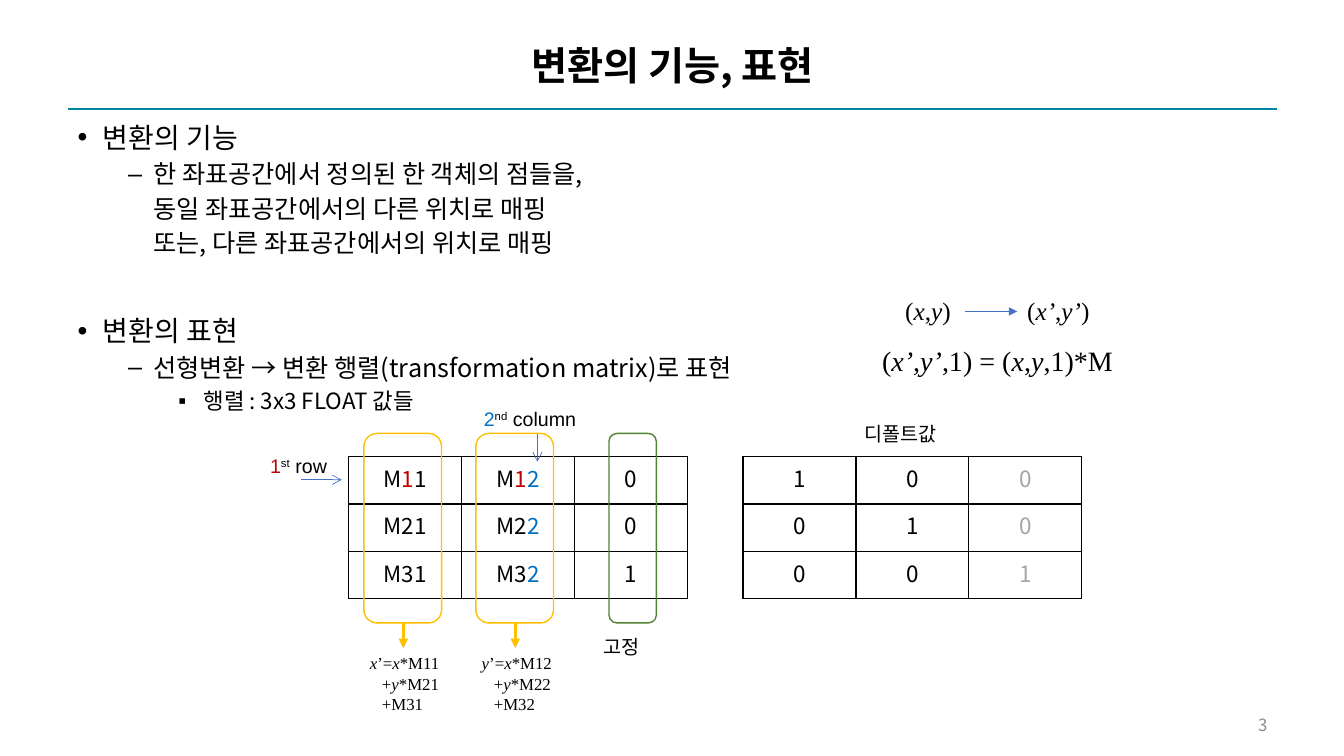
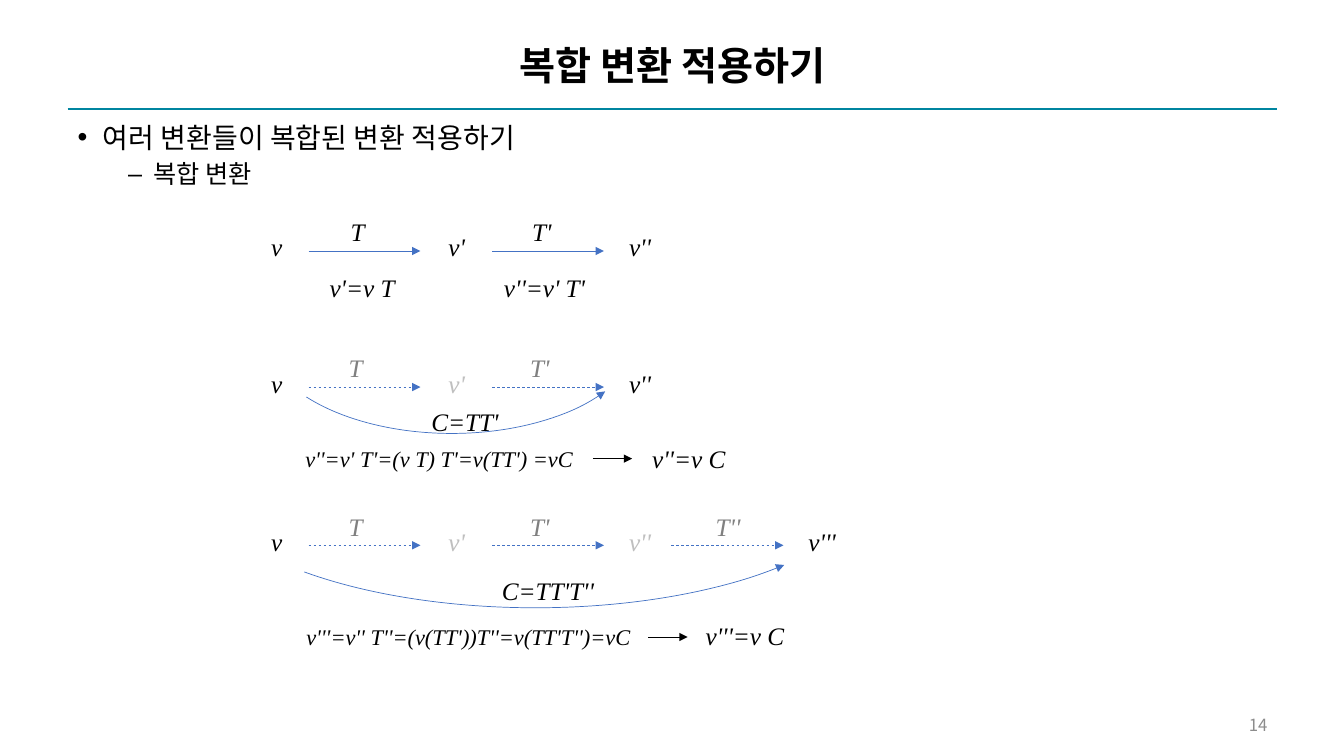
from pptx import Presentation, util as u
from pptx.dml.color import RGBColor
from pptx.enum import dml, shapes, text
from pptx.oxml.ns import qn
from lxml import etree

PX = 9144  # EMU per px, 100 px to the inch
COLORS = {"black": "000000", "rule": "0085A0", "number": "8C8C8C", "blue": "4472C4",
          "column": "0070C0", "row": "C00000", "gold": "FFC000", "green": "548235",
          "grey": "808080", "pale": "BFBFBF", "default": "A6A6A6"}
SANS, LABEL, SERIF = "Noto Sans CJK KR", "Arial", "Times New Roman"
# bullet, size, left margin and space before of each list level
LEVELS = [("•", 20, 25, 10), ("–", 18, 75, 5), ("▪", 16, 125, 5)]
HANG = 25


def rgb(name):
    return RGBColor.from_string(COLORS[name])


def add(parent, tag, **attrs):
    """Append an XML child with the given attributes."""
    child = etree.SubElement(parent, qn(tag))
    for key, value in attrs.items():
        child.set(key, str(value))
    return child


def math(source):
    """Make runs from text whose parts between underscores are italic."""
    return [(part, {"italic": bool(i % 2)})
            for i, part in enumerate(source.split("_")) if part]


class Deck:
    def __init__(self):
        self.prs = Presentation()
        self.prs.slide_width, self.prs.slide_height = 1333 * PX, 750 * PX
        self.s = None

    def runs(self, p, content, **base):
        """Fill a paragraph from a string or a list of (text, format) runs."""
        for words, extra in [(content, {})] if isinstance(content, str) else content:
            fmt = {"name": SANS, "size": 16, "color": "black", **base, **extra}
            r = p.add_run()
            r.text = words
            r.font.color.rgb = rgb(fmt.pop("color"))
            fmt["size"] = u.Pt(fmt["size"])
            raised = fmt.pop("raised", False)
            for key, value in fmt.items():
                setattr(r.font, key, value)
            rpr = r.font._element if hasattr(r.font, "_element") else r._r.get_or_add_rPr()
            add(rpr, "a:ea", typeface=SANS)
            if raised:
                rpr.set("baseline", "30000")

    def place(self, sp, x, y, w, h):
        sp.left, sp.top, sp.width, sp.height = (v * PX for v in (x, y, w, h))
        return sp

    def slide(self, title, items, number):
        """Start a slide with its title, rule, list and number."""
        self.s = self.prs.slides.add_slide(self.prs.slide_layouts[1])
        self.line(67, 108, 1267, 108, "rule", 1, head=None)
        tf = self.place(self.s.shapes.title, 67, 37, 1200, 61).text_frame
        tf.auto_size = text.MSO_AUTO_SIZE.NONE
        tf.vertical_anchor = text.MSO_ANCHOR.MIDDLE
        p = tf.paragraphs[0]
        p.alignment, p.line_spacing = text.PP_ALIGN.CENTER, 0.9
        self.runs(p, title, size=28, bold=True)
        self.bullets(items)
        self.text(942, 703, 325, 32, [number], wrap=True, align="RIGHT", anchor="MIDDLE",
                  size=12, color="number")

    def bullets(self, items):
        """Fill the body from (level, words, extra) items."""
        tf = self.place(self.s.placeholders[1], 67, 117, 1200, 578).text_frame
        tf.auto_size = text.MSO_AUTO_SIZE.NONE
        for i, (level, words, extra) in enumerate(items):
            bullet, size, margin, before = LEVELS[level]
            p = tf.add_paragraph() if i else tf.paragraphs[0]
            p.level = level
            p.line_spacing = u.Pt(size * 1.1)
            p.space_before = u.Pt(before + extra.get("gap", 0))
            ppr = p._p.get_or_add_pPr()
            ppr.set("marL", str(margin * PX))
            if extra.get("plain"):
                ppr.set("indent", "0")
                add(ppr, "a:buNone")
            else:
                ppr.set("indent", str(-HANG * PX))
                add(ppr, "a:buFont", typeface=LABEL)
                add(ppr, "a:buChar", char=bullet)
            self.runs(p, words, size=size)

    def text(self, x, y, w, h, lines, wrap=False, align="LEFT", anchor="TOP", indent=0, **fmt):
        """Add a text box; lines after the first start at the indent."""
        tf = self.s.shapes.add_textbox(*(v * PX for v in (x, y, w, h))).text_frame
        tf.word_wrap = wrap
        tf.auto_size = text.MSO_AUTO_SIZE.NONE if wrap else text.MSO_AUTO_SIZE.SHAPE_TO_FIT_TEXT
        tf.vertical_anchor = text.MSO_ANCHOR[anchor]
        for i, content in enumerate(lines):
            p = tf.add_paragraph() if i else tf.paragraphs[0]
            p.alignment = text.PP_ALIGN[align]
            if i and indent:
                p._p.get_or_add_pPr().set("marL", str(indent * PX))
            self.runs(p, content, **fmt)

    def formula(self, x, y, w, words, size=18, **fmt):
        self.text(x, y, w, 40 if size == 18 else 37, [words],
                  name=SERIF, size=size, italic=True, **fmt)

    def stroke(self, sp, color, width, head=None, dash=False):
        sp.line.color.rgb = rgb(color)
        sp.line.width = u.Pt(width)
        if dash:
            sp.line.dash_style = dml.MSO_LINE.DASH
        if head:
            add(sp._element.spPr.find(qn("a:ln")), "a:tailEnd", type=head)

    def line(self, x1, y1, x2, y2, color="blue", width=0.5, head="triangle", dash=False):
        sp = self.s.shapes.add_connector(shapes.MSO_CONNECTOR.STRAIGHT,
                                         *(v * PX for v in (x1, y1, x2, y2)))
        self.stroke(sp, color, width, head, dash)
        add(sp._element.spPr, "a:effectLst")

    def shape(self, kind, x, y, w, h, color, width=1, head=None):
        sp = self.s.shapes.add_shape(shapes.MSO_SHAPE[kind], *(v * PX for v in (x, y, w, h)))
        sp.fill.background()
        self.stroke(sp, color, width, head)
        sp.shadow.inherit = False
        return sp

    def arc(self, x, y, w, h):
        """Add an arrow that hangs below a chain."""
        sp = self.shape("ARC", x, y, w, h, "blue", 0.5, "triangle")
        sp.adjustments[0], sp.adjustments[1] = 122.83, 202.95
        sp._element.spPr.find(qn("a:xfrm")).set("flipV", "1")

    def matrix(self, x, y, rows, col=112, row=47):
        """Add a ruled table without fills."""
        n, m = len(rows), len(rows[0])
        tbl = self.s.shapes.add_table(n, m, x * PX, y * PX, m * col * PX, n * row * PX).table
        tbl.first_row = tbl.horz_banding = False
        for i, values in enumerate(rows):
            for j, content in enumerate(values):
                cell = tbl.cell(i, j)
                tcpr = cell._tc.get_or_add_tcPr()
                for side in "LRTB":
                    ln = add(tcpr, "a:ln" + side, w=u.Pt(1))
                    add(add(ln, "a:solidFill"), "a:srgbClr", val=COLORS["black"])
                cell.fill.background()
                p = cell.text_frame.paragraphs[0]
                p.alignment = text.PP_ALIGN.CENTER
                self.runs(p, content)

    def chain(self, y, nodes, ops, op_shift=0, muted=False):
        """Add a row of vectors joined by transform arrows."""
        for i, node in enumerate(nodes):
            inner = muted and 0 < i < len(nodes) - 1
            self.formula((259, 435, 614, 792)[i], y, (31, 37, 42, 48)[i], node,
                         color="pale" if inner else "black")
        for i, op in enumerate(ops):
            start = (306, 488, 666)[i]
            self.line(start, y + 24, start + 111, y + 24, dash=muted)
            self.formula((336, 516, 700)[i] + op_shift, y - 15, (34, 40, 45)[i], op,
                         color="grey" if muted else "black")


def representation(d):
    d.slide("변환의 기능, 표현", [
        (0, "변환의 기능", {}),
        (1, "한 좌표공간에서 정의된 한 객체의 점들을,", {}),
        (1, "동일 좌표공간에서의 다른 위치로 매핑", {"plain": True}),
        (1, "또는, 다른 좌표공간에서의 위치로 매핑", {"plain": True}),
        (0, "변환의 표현", {"gap": 32}),
        (1, "선형변환 → 변환 행렬(transformation matrix)로 표현", {}),
        (2, "행렬 : 3x3 FLOAT 값들", {})], "3")

    # Matrices
    red, blue, dim = {"color": "row"}, {"color": "column"}, {"color": "default"}
    d.matrix(346, 453, [
        [[("M", {}), ("1", red), ("1", {})], [("M", {}), ("1", red), ("2", blue)], "0"],
        ["M21", [("M2", {}), ("2", blue)], "0"],
        ["M31", [("M3", {}), ("2", blue)], "1"]])
    d.matrix(737, 453, [["1", "0", [("0", dim)]],
                        ["0", "1", [("0", dim)]],
                        ["0", "0", [("1", dim)]]])

    # Row and column labels
    label = {"name": LABEL, "size": 14}
    up = {"raised": True}
    d.text(258, 445, 81, 34, [[("1", red), ("st", up), (" row", {})]], **label)
    d.text(470, 399, 119, 34, [[("2", blue), ("nd", up), (" column", {})]], **label)
    d.text(843, 414, 106, 34, [" 디폴트값"], **label)
    d.text(589, 625, 59, 34, ["고정"], **label)
    d.line(299, 476, 339, 476, head="arrow")
    d.line(533, 430, 533, 458, head="arrow")

    # Column frames with the equations they give
    d.shape("ROUNDED_RECTANGLE", 604, 430, 47, 188, "green")
    for i, axis in enumerate("xy", 1):
        x = 250 + 111 * i
        d.shape("ROUNDED_RECTANGLE", x, 430, 77, 188, "gold")
        d.line(x + 39, 618, x + 39, 643, "gold", 2.25)
        d.text(x - 4, 643, 90, 71,
               [math(f"_{axis}_’=_x_*M1{i}"), math(f"+_y_*M2{i}"), f"+M3{i}"],
               indent=12, name=SERIF, size=12)

    # Point mapping
    d.text(888, 288, 66, 40, [math("(_x_,_y_)")], name=SERIF, size=18)
    d.text(1009, 288, 83, 40, [math("(_x’_,_y’_)")], name=SERIF, size=18)
    d.line(957, 309, 1009, 309)
    d.text(865, 336, 258, 44, [math("(_x’,y’_,1) = (_x_,_y_,1)*M")], name=SERIF, size=20)


def composition(d):
    d.slide("복합 변환 적용하기", [
        (0, "여러 변환들이 복합된 변환 적용하기", {}),
        (1, "복합 변환", {})], "14")

    # Step by step
    d.chain(225, ["v", "v'", "v''"], ["T", "T'"], op_shift=2)
    d.formula(317, 265, 85, "v'=v T")
    d.formula(490, 265, 102, "v''=v' T'")

    # Two transforms in one
    d.chain(360, ["v", "v'", "v''"], ["T", "T'"], muted=True)
    d.arc(259, 225, 378, 205)
    d.formula(418, 398, 88, "C=TT'")
    d.formula(293, 437, 358, "v''=v' T'=(v T) T'=v(TT') =vC", 16)
    d.line(588, 455, 627, 455, "black")
    d.formula(637, 435, 94, "v''=v C")

    # Three transforms in one
    d.chain(517, ["v", "v'", "v''", "v'''"], ["T", "T'", "T''"], muted=True)
    d.arc(186, 321, 690, 282)
    d.formula(488, 566, 112, "C=TT'T''")
    d.formula(294, 613, 420, "v'''=v'' T''=(v(TT'))T''=v(TT'T'')=vC", 16)
    d.line(643, 632, 682, 632, "black")
    d.formula(690, 611, 99, "v'''=v C")


def main():
    d = Deck()
    representation(d)
    composition(d)
    d.prs.save("out.pptx")


if __name__ == "__main__":
    main()
